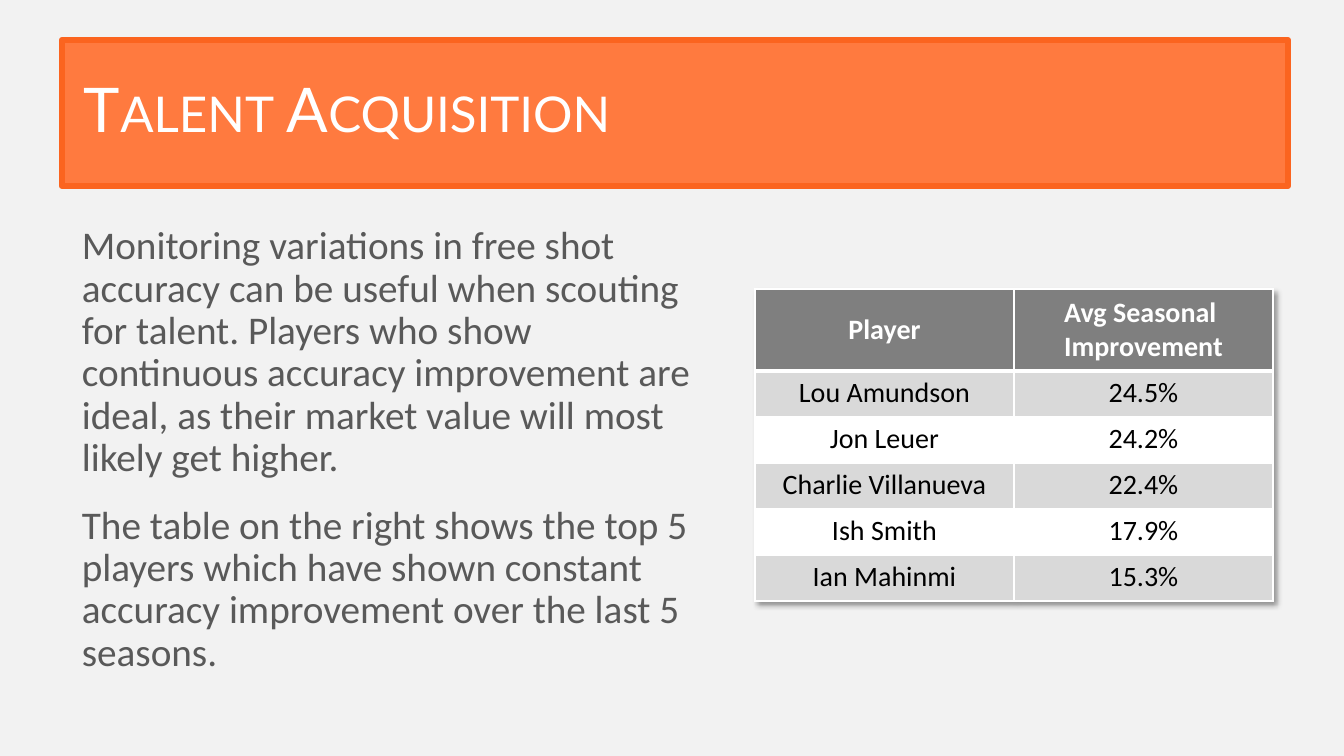
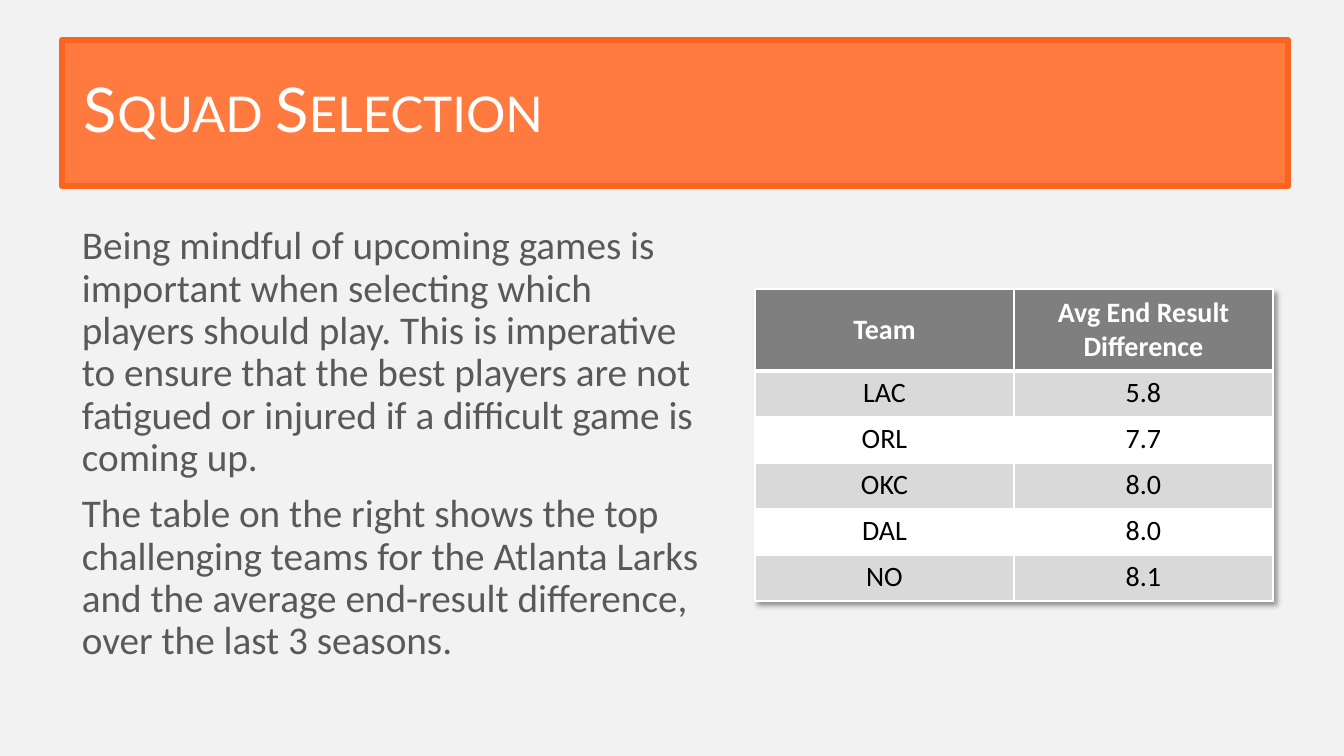
import pptx
import pptx.dml.color
import pptx.enum.shapes
import pptx.enum.text
import pptx.oxml
import pptx.oxml.ns
import pptx.util

# Shared look
EMU_PER_PIXEL = 914400 / 100.8
BACKGROUND = "F2F2F2"
BAND_FILL, BAND_LINE = "FF7A3F", "FB641F"
BODY_COLOR, WHITE, BLACK = "595959", "FFFFFF", "000000"
HEADER_FILL, STRIPE_FILL = "7F7F7F", "D9D9D9"
TITLE_FONT, BODY_FONT = "Lato", "Calibri"
CENTER = pptx.enum.text.PP_ALIGN.CENTER
LEFT = pptx.enum.text.PP_ALIGN.LEFT
MIDDLE = pptx.enum.text.MSO_ANCHOR.MIDDLE

# Contents of the slides
TALENT = dict(
    title="Talent Acquisition",
    paragraphs=[
        "Monitoring variations in free shot accuracy can be useful when scouting for talent. "
        "Players who show continuous accuracy improvement are ideal, as their market value "
        "will most likely get higher.",
        "The table on the right shows the top 5 players which have shown constant accuracy "
        "improvement over the last 5 seasons.",
    ],
    gap=18,
    rows=[
        ("Player", "Avg Seasonal \nImprovement"),
        ("Lou Amundson", "24.5%"),
        ("Jon Leuer", "24.2%"),
        ("Charlie Villanueva", "22.4%"),
        ("Ish Smith", "17.9%"),
        ("Ian Mahinmi", "15.3%"),
    ],
)
SQUAD = dict(
    title="Squad Selection",
    paragraphs=[
        "Being mindful of upcoming games is important when selecting which players should play. "
        "This is imperative to ensure that the best players are not fatigued or injured if a "
        "difficult game is coming up.",
        "The table on the right shows the top challenging teams for the Atlanta Larks and the "
        "average end-result difference, over the last 3 seasons.",
    ],
    gap=10,
    rows=[
        ("Team", "Avg End Result Difference"),
        ("LAC", "5.8"),
        ("ORL", "7.7"),
        ("OKC", "8.0"),
        ("DAL", "8.0"),
        ("NO", "8.1"),
    ],
)


def px(*lengths):
    return [pptx.util.Emu(round(length * EMU_PER_PIXEL)) for length in lengths]


def color(value):
    return pptx.dml.color.RGBColor.from_string(value)


def fill_with(target, value):
    target.fill.solid()
    target.fill.fore_color.rgb = color(value)


def element(markup):
    """Parse one drawing element, adding its namespace."""
    name, rest = markup[:markup.index(">")], markup[markup.index(">"):]
    return pptx.oxml.parse_xml(f"{name} {pptx.oxml.ns.nsdecls('a')}{rest}")


def write(frame, paragraphs, *, size, ink, font=BODY_FONT, bold=False, align=LEFT,
          spacing=None, gaps=(), small_caps=False):
    frame.word_wrap = True
    for index, text in enumerate(paragraphs):
        para = frame.paragraphs[0] if index == 0 else frame.add_paragraph()
        para.alignment = align
        para.line_spacing = spacing
        if gaps:
            para.space_before = pptx.util.Pt(gaps[index])
        span = para.add_run()
        span.text = text
        span.font.name = font
        span.font.size = pptx.util.Pt(size)
        span.font.bold = bold
        span.font.color.rgb = color(ink)
        if small_caps:
            span.font._element.set("cap", "small")


def add_title_band(page, title):
    band = page.shapes.add_shape(
        pptx.enum.shapes.MSO_SHAPE.RECTANGLE, *px(62, 40, 1226, 146))
    band.shadow.inherit = False
    fill_with(band, BAND_FILL)
    band.line.color.rgb = color(BAND_LINE)
    band.line.width = pptx.util.Pt(4.5)
    band.line._get_or_add_ln().append(element("<a:round></a:round>"))
    band.text_frame.margin_left = px(22)[0]
    band.text_frame.vertical_anchor = MIDDLE
    write(band.text_frame, [title], size=44, ink=WHITE, font=TITLE_FONT,
          spacing=0.9, small_caps=True)


def add_body(page, paragraphs, gap):
    box = page.shapes.add_textbox(*px(72, 221, 648, 551))
    write(box.text_frame, paragraphs, size=28, ink=BODY_COLOR, spacing=0.9,
          gaps=(10, gap))


def set_borders(cell, **widths):
    properties = cell._tc.get_or_add_tcPr()
    for position, side in enumerate("LRTB"):
        width = pptx.util.Pt(widths.get(side, 1))
        properties.insert(position, element(
            f'<a:ln{side} w="{width}"><a:solidFill><a:srgbClr val="{WHITE}"/>'
            f"</a:solidFill></a:ln{side}>"))


def add_table(page, rows):
    frame = page.shapes.add_table(len(rows), 2, *px(755, 289, 518, 312))
    table = frame.table
    table._tbl.tblPr.insert(0, element(
        '<a:effectLst><a:outerShdw blurRad="50800" dist="38100" dir="2700000" algn="tl">'
        '<a:srgbClr val="000000"><a:alpha val="40000"/></a:srgbClr>'
        "</a:outerShdw></a:effectLst>"))
    for column in table.columns:
        column.width = px(259)[0]
    for index, values in enumerate(rows):
        header = index == 0
        table.rows[index].height = px(82 if header else 46)[0]
        shade = HEADER_FILL if header else STRIPE_FILL if index % 2 else WHITE
        for cell, value in zip(table.rows[index].cells, values):
            fill_with(cell, shade)
            set_borders(cell, T=3 if index == 1 else 1, B=3 if header else 1)
            if header:
                cell.vertical_anchor = MIDDLE
            write(cell.text_frame, value.split("\n"), size=20,
                  ink=WHITE if header else BLACK, bold=header, align=CENTER)


def add_page(deck, title, paragraphs, gap, rows):
    page = deck.slides.add_slide(deck.slide_layouts[6])
    fill_with(page.background, BACKGROUND)
    add_body(page, paragraphs, gap)
    add_table(page, rows)
    add_title_band(page, title)


def main():
    deck = pptx.Presentation()
    deck.slide_width, deck.slide_height = px(1344, 756)
    for content in (TALENT, SQUAD):
        add_page(deck, **content)
    deck.save("out.pptx")


main()
